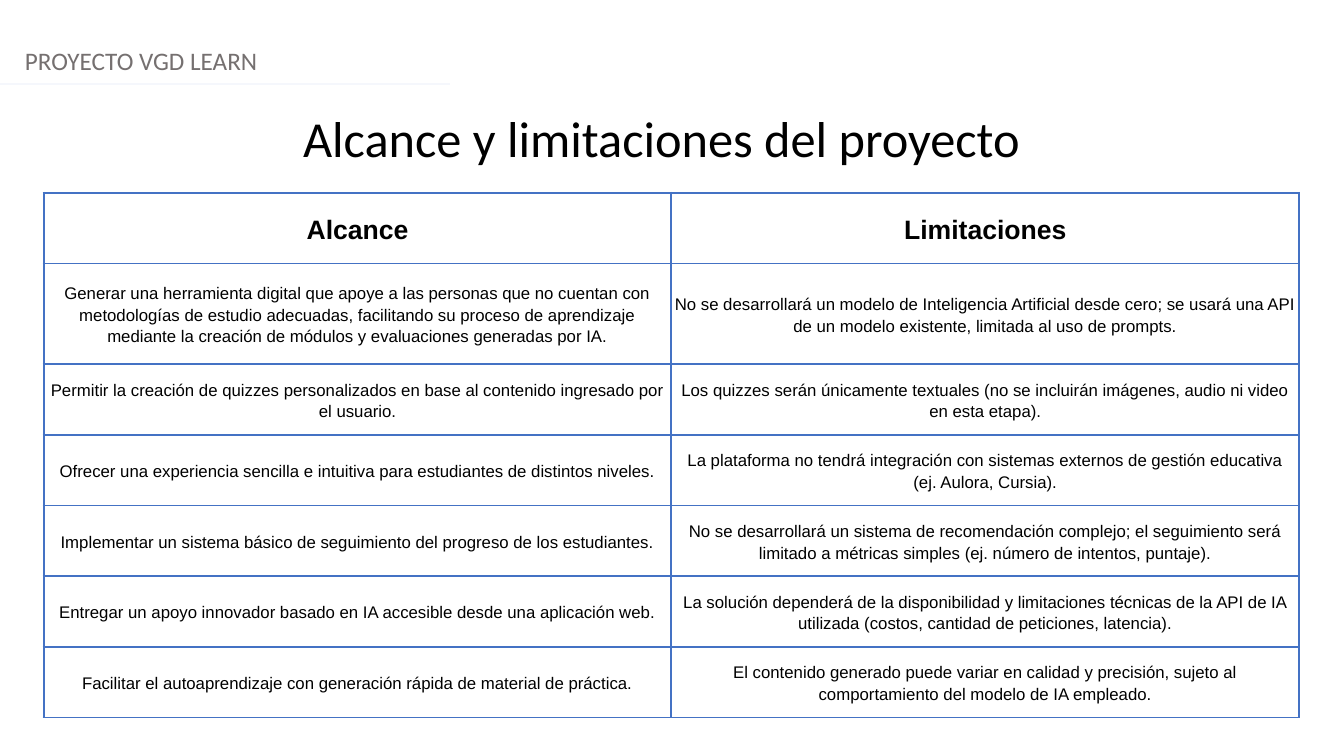
"""Build the slide on the scope and limitations of the project."""
from lxml.etree import SubElement
from pptx import Presentation
from pptx.dml.color import RGBColor
from pptx.enum.shapes import MSO_CONNECTOR as Connector, MSO_SHAPE as Shape
from pptx.enum.text import MSO_ANCHOR as Anchor, PP_ALIGN as Align
from pptx.oxml import parse_xml
from pptx.oxml.ns import nsdecls, qn
from pptx.util import Cm, Pt

BORDER = "4472C4"
ROWS = [
    ("Alcance", "Limitaciones"),
    ("Generar una herramienta digital que apoye a las personas que no cuentan con "
     "metodologías de estudio adecuadas, facilitando su proceso de aprendizaje "
     "mediante la creación de módulos y evaluaciones generadas por IA.",
     "No se desarrollará un modelo de Inteligencia Artificial desde cero; se usará "
     "una API de un modelo existente, limitada al uso de prompts."),
    ("Permitir la creación de quizzes personalizados en base al contenido ingresado "
     "por el usuario.",
     "Los quizzes serán únicamente textuales (no se incluirán imágenes, audio ni "
     "video en esta etapa)."),
    ("Ofrecer una experiencia sencilla e intuitiva para estudiantes de distintos niveles.",
     "La plataforma no tendrá integración con sistemas externos de gestión educativa "
     "(ej. Aulora, Cursia)."),
    ("Implementar un sistema básico de seguimiento del progreso de los estudiantes.",
     "No se desarrollará un sistema de recomendación complejo; el seguimiento será "
     "limitado a métricas simples (ej. número de intentos, puntaje)."),
    ("Entregar un apoyo innovador basado en IA accesible desde una aplicación web.",
     "La solución dependerá de la disponibilidad y limitaciones técnicas de la API "
     "de IA utilizada (costos, cantidad de peticiones, latencia)."),
    ("Facilitar el autoaprendizaje con generación rápida de material de práctica.",
     "El contenido generado puede variar en calidad y precisión, sujeto al "
     "comportamiento del modelo de IA empleado."),
]


def color(value):
    """Turn a hex string into a colour."""
    return RGBColor.from_string(value)


def write(frame, text, size, font, tint, align, bold=False):
    """Write one formatted paragraph and return it."""
    frame.word_wrap = True
    para = frame.paragraphs[0]
    para.text = text
    para.alignment = align
    span = para.runs[0]
    span.font.size = Pt(size)
    span.font.name = font
    span.font.bold = bold
    span.font.color.rgb = color(tint)
    return para


deck = Presentation()
deck.slide_width, deck.slide_height = Cm(33.87), Cm(19.05)
page = deck.slides.add_slide(deck.slide_layouts[6])

header = page.shapes.add_textbox(Cm(0.38), Cm(1.03), Cm(33.87), Cm(1.03))
write(header.text_frame, "PROYECTO VGD LEARN", 18, "Calibri", "757070", Align.LEFT)

title = page.shapes.add_shape(Shape.RECTANGLE, Cm(4.7), Cm(2.57), Cm(23.95), Cm(1.8))
title.shadow.inherit = False
title.fill.background()
title.line.color.rgb = color("FFFFFF")
title.line.width = Pt(0.75)
write(title.text_frame, "Alcance y limitaciones del proyecto", 36, "Calibri",
      "000000", Align.CENTER)

rule = page.shapes.add_connector(Connector.STRAIGHT, 0, Cm(2.11), Cm(11.35), Cm(2.11))
rule.line.color.rgb = color("F5F7FC")
rule.line.width = Pt(1.25)
SubElement(rule.element.spPr, qn("a:effectLst"))

table = page.shapes.add_table(len(ROWS), 2, Cm(1.1), Cm(4.86), Cm(31.64), Cm(13.22)).table
table.first_row = table.horz_banding = False
for column in table.columns:
    column.width = Cm(15.82)

for row_index, texts in enumerate(ROWS):
    table.rows[row_index].height = Cm(2.54 if row_index == 1 else 1.78)
    heading = row_index == 0
    for column_index, text in enumerate(texts):
        cell = table.cell(row_index, column_index)
        cell.vertical_anchor = Anchor.MIDDLE
        cell.margin_left = cell.margin_right = Cm(0.08)
        cell.margin_top = cell.margin_bottom = Cm(0.05)
        para = write(cell.text_frame, text, 19 if heading else 12, "Arial",
                     "000000", Align.CENTER, heading)
        para.line_spacing = 1.15
        properties = cell._tc.get_or_add_tcPr()
        for side in ("lnL", "lnR", "lnT", "lnB"):
            properties.append(parse_xml(
                f'<a:{side} {nsdecls("a")} w="{Pt(1.5)}"><a:solidFill>'
                f'<a:srgbClr val="{BORDER}"/></a:solidFill></a:{side}>'))
        cell.fill.background()

deck.save("out.pptx")
